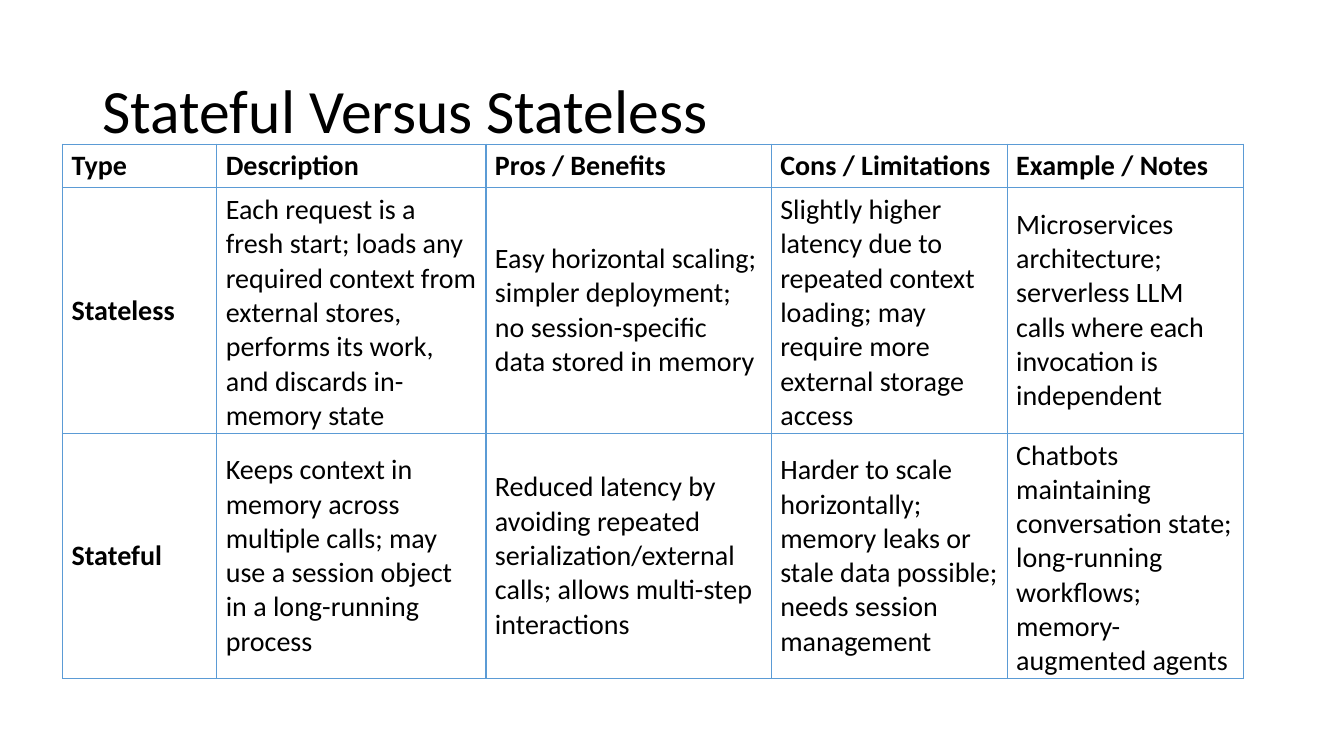
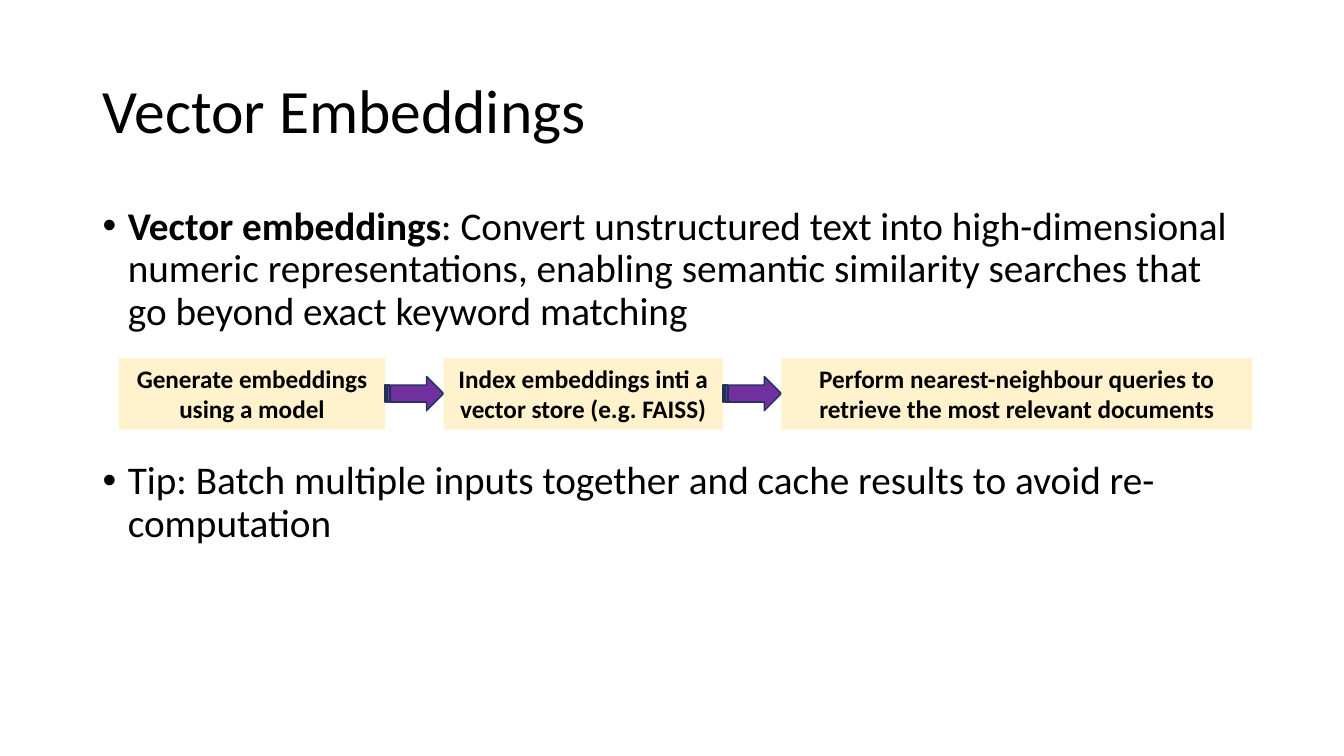
from dataclasses import dataclass
from typing import NamedTuple

from lxml import etree
from pptx import Presentation
from pptx.dml.color import RGBColor
from pptx.enum.shapes import MSO_SHAPE
from pptx.enum.text import MSO_ANCHOR, MSO_AUTO_SIZE, PP_ALIGN
from pptx.oxml.ns import qn
from pptx.util import Inches, Pt

RECT = MSO_SHAPE.RECTANGLE
ARROW = MSO_SHAPE.STRIPED_RIGHT_ARROW
TOP, MIDDLE = MSO_ANCHOR.TOP, MSO_ANCHOR.MIDDLE
CENTER = PP_ALIGN.CENTER
GROW = MSO_AUTO_SIZE.SHAPE_TO_FIT_TEXT


@dataclass(frozen=True)
class Theme:
    font: str = "Calibri"
    bullet_font: str = "Arial"
    text: str = "000000"
    grid: str = "5B9BD5"
    step: str = "FFF2CC"
    arrow: str = "7030A0"
    arrow_line: str = "1E3256"
    title_size: int = 44
    body_size: int = 28
    table_size: int = 20
    step_size: int = 18
    line_width: int = 1
    line_spacing: float = 0.9


THEME = Theme()


class Box(NamedTuple):
    left: float
    top: float
    width: float
    height: float

    def emu(self) -> list:
        return [Inches(v) for v in self]


class Step(NamedTuple):
    text: str
    width: float


class Bullet(NamedTuple):
    lead: str
    text: str
    space_before: int


TITLE_BOX = Box(0.92, 0.4, 11.5, 1.45)
BODY_BOX = Box(0.92, 2, 11.5, 4.76)
TABLE_BOX = Box(0.62, 1.43, 11.71, 4.75)
COLUMN_WIDTHS = [1.53, 2.67, 2.83, 2.34, 2.34]
ROW_HEIGHTS = [0.37, 2.33, 2.05]
CELL_INSET_X, CELL_INSET_Y = 0.09, 0.05
HANGING = 0.25
FLOW_LEFT, FLOW_TOP, STEP_HEIGHT = 1.18, 3.55, 0.71
ARROW_WIDTH, ARROW_HEIGHT = 0.58, 0.34

COMPARISON = [
    ["Type", "Description", "Pros / Benefits", "Cons / Limitations", "Example / Notes"],
    [
        "Stateless",
        "Each request is a fresh start; loads any required context from external stores, "
        "performs its work, and discards in-memory state",
        "Easy horizontal scaling; simpler deployment; no session-specific data stored in memory",
        "Slightly higher latency due to repeated context loading; "
        "may require more external storage access",
        "Microservices architecture; serverless LLM calls where each invocation is independent",
    ],
    [
        "Stateful",
        "Keeps context in memory across multiple calls; "
        "may use a session object in a long-running process",
        "Reduced latency by avoiding repeated serialization/external calls; "
        "allows multi-step interactions",
        "Harder to scale horizontally; memory leaks or stale data possible; "
        "needs session management",
        "Chatbots maintaining conversation state; long-running workflows; "
        "memory-augmented agents",
    ],
]

BULLETS = [
    Bullet(
        "Vector embeddings",
        ": Convert unstructured text into high-dimensional numeric representations, "
        "enabling semantic similarity searches that go beyond exact keyword matching",
        10,
    ),
    # The wide gap leaves room for the flow of steps.
    Bullet(
        "",
        "Tip: Batch multiple inputs together and cache results to avoid re-computation",
        91,
    ),
]

STEPS = [
    Step("Generate embeddings using a model", 2.64),
    Step("Index embeddings inti a vector store (e.g. FAISS)", 2.77),
    Step("Perform nearest-neighbour queries to retrieve the most relevant documents", 4.67),
]


def rgb(value: str) -> RGBColor:
    return RGBColor.from_string(value)


def style_run(r, size: int, bold: bool = False) -> None:
    r.font.name = THEME.font
    r.font.size = Pt(size)
    r.font.bold = bold
    r.font.color.rgb = rgb(THEME.text)


def add_text_frame(s, box: Box, anchor):
    tf = s.shapes.add_textbox(*box.emu()).text_frame
    tf.word_wrap = True
    tf.vertical_anchor = anchor
    return tf


def add_titled_slide(prs, title: str):
    s = prs.slides.add_slide(prs.slide_layouts[6])
    tf = add_text_frame(s, TITLE_BOX, MIDDLE)
    tf.text = title
    p = tf.paragraphs[0]
    p.line_spacing = THEME.line_spacing
    style_run(p.runs[0], THEME.title_size)
    return s


def set_borders(cell) -> None:
    tc_pr = cell._tc.get_or_add_tcPr()
    for side in ("lnL", "lnR", "lnT", "lnB"):
        ln = etree.SubElement(tc_pr, qn(f"a:{side}"), w=str(Pt(THEME.line_width)))
        fill = etree.SubElement(ln, qn("a:solidFill"))
        etree.SubElement(fill, qn("a:srgbClr"), val=THEME.grid)


def format_cell(cell, text: str, bold: bool) -> None:
    cell.text = text
    cell.vertical_anchor = MIDDLE
    cell.margin_left = cell.margin_right = Inches(CELL_INSET_X)
    cell.margin_top = cell.margin_bottom = Inches(CELL_INSET_Y)
    set_borders(cell)
    cell.fill.background()
    style_run(cell.text_frame.paragraphs[0].runs[0], THEME.table_size, bold)


def add_comparison(s) -> None:
    shape = s.shapes.add_table(len(ROW_HEIGHTS), len(COLUMN_WIDTHS), *TABLE_BOX.emu())
    table = shape.table
    table.horz_banding = False
    for column, width in zip(table.columns, COLUMN_WIDTHS):
        column.width = Inches(width)
    for row, height in zip(table.rows, ROW_HEIGHTS):
        row.height = Inches(height)
    for i, texts in enumerate(COMPARISON):
        for j, text in enumerate(texts):
            format_cell(table.cell(i, j), text, bold=i == 0 or j == 0)


def add_bullets(s, bullets: list[Bullet]) -> None:
    tf = add_text_frame(s, BODY_BOX, TOP)
    for i, bullet in enumerate(bullets):
        p = tf.add_paragraph() if i else tf.paragraphs[0]
        p_pr = p._p.get_or_add_pPr()
        p_pr.set("marL", str(Inches(HANGING)))
        p_pr.set("indent", str(-Inches(HANGING)))
        etree.SubElement(p_pr, qn("a:buFont"), typeface=THEME.bullet_font)
        etree.SubElement(p_pr, qn("a:buChar"), char="•")
        p.line_spacing = THEME.line_spacing
        p.space_before = Pt(bullet.space_before)
        for text, bold in ((bullet.lead, True), (bullet.text, False)):
            if text:
                r = p.add_run()
                r.text = text
                style_run(r, THEME.body_size, bold)


def add_filled_shape(s, kind, box: Box, fill: str):
    sp = s.shapes.add_shape(kind, *box.emu())
    sp.shadow.inherit = False
    sp.fill.solid()
    sp.fill.fore_color.rgb = rgb(fill)
    return sp


def add_step(s, text: str, box: Box) -> None:
    sp = add_filled_shape(s, RECT, box, THEME.step)
    sp.line.fill.background()
    tf = sp.text_frame
    tf.word_wrap = True
    tf.auto_size = GROW
    tf.text = text
    p = tf.paragraphs[0]
    p.alignment = CENTER
    style_run(p.runs[0], THEME.step_size, bold=True)


def add_arrow(s, box: Box) -> None:
    sp = add_filled_shape(s, ARROW, box, THEME.arrow)
    sp.line.color.rgb = rgb(THEME.arrow_line)
    sp.line.width = Pt(THEME.line_width)


def add_flow(s, steps: list[Step]) -> None:
    """Lay the steps out in a row, with an arrow filling each gap."""
    left = FLOW_LEFT
    arrow_top = FLOW_TOP + (STEP_HEIGHT - ARROW_HEIGHT) / 2
    for i, step in enumerate(steps):
        if i:
            add_arrow(s, Box(left, arrow_top, ARROW_WIDTH, ARROW_HEIGHT))
            left += ARROW_WIDTH
        add_step(s, step.text, Box(left, FLOW_TOP, step.width, STEP_HEIGHT))
        left += step.width


def main() -> None:
    prs = Presentation()
    prs.slide_width, prs.slide_height = Inches(13.33), Inches(7.5)

    s = add_titled_slide(prs, "Stateful Versus Stateless")
    add_comparison(s)

    s = add_titled_slide(prs, "Vector Embeddings")
    add_bullets(s, BULLETS)
    add_flow(s, STEPS)

    prs.save("out.pptx")


if __name__ == "__main__":
    main()
